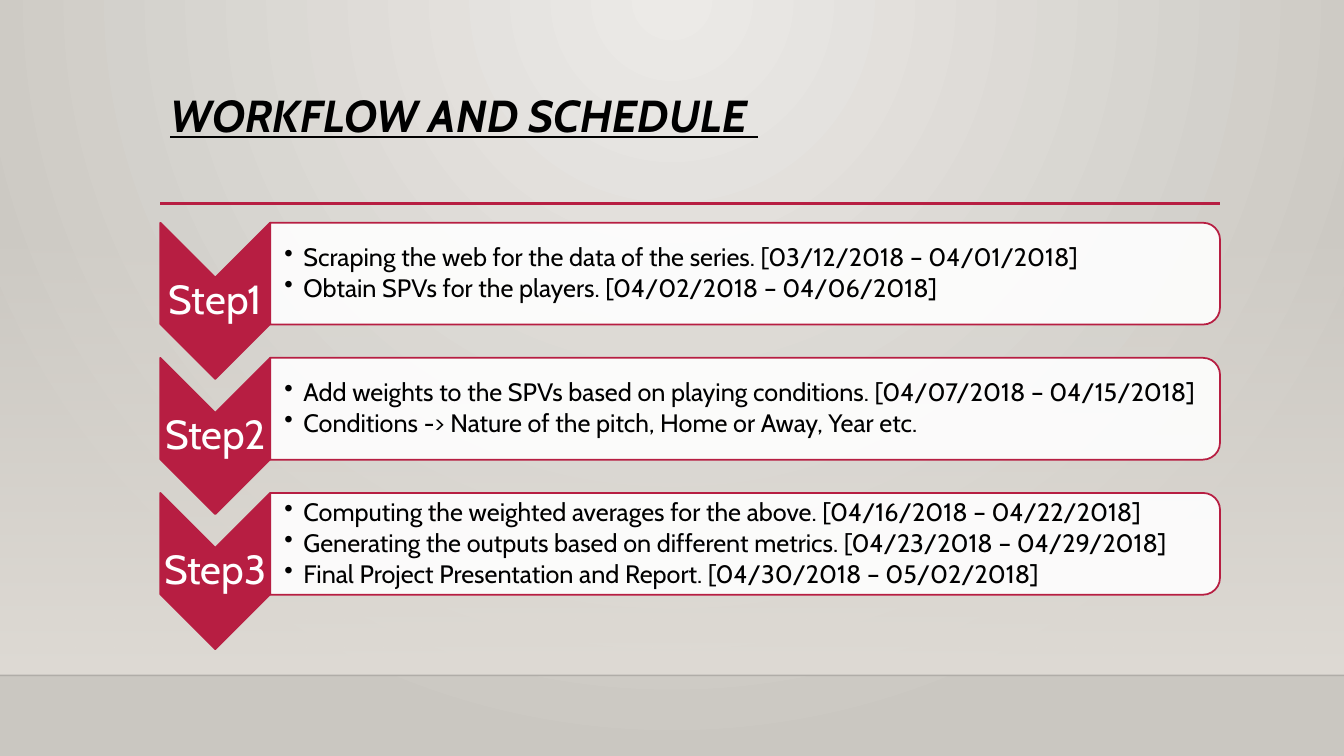
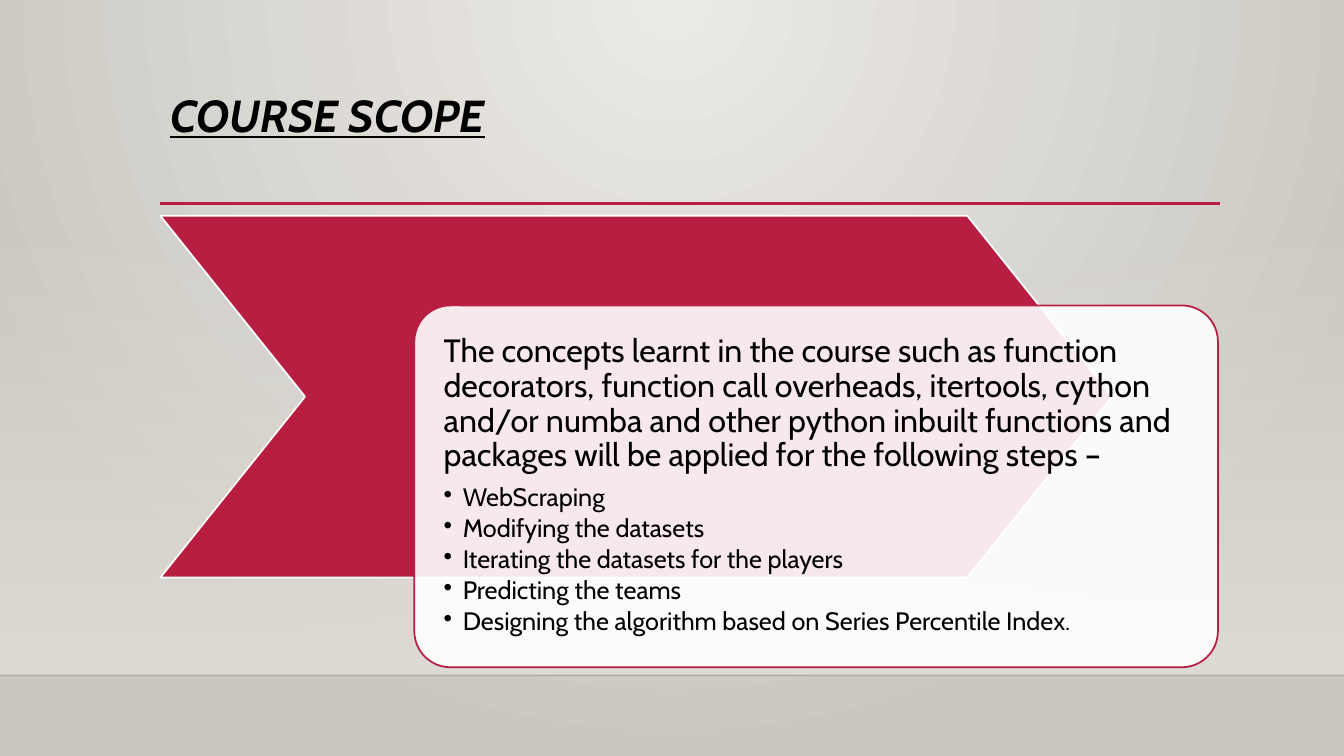
"""Build the workflow and course scope slides."""
from lxml import etree
from pptx import Presentation
from pptx import util as u
from pptx.dml.color import RGBColor
from pptx.enum import shapes, text
from pptx.oxml.ns import qn

WORKFLOW_TITLE = "WORKFLOW AND SCHEDULE "
STEPS = [
    ("Step1", ["Scraping the web for the data of the series. [03/12/2018 – 04/01/2018]",
               "Obtain SPVs for the players. [04/02/2018 – 04/06/2018]"]),
    ("Step2", ["Add weights to the SPVs based on playing conditions. [04/07/2018 – 04/15/2018]",
               "Conditions -> Nature of the pitch, Home or Away, Year etc. "]),
    ("Step3", ["Computing the weighted averages for the above. [04/16/2018 – 04/22/2018]",
               "Generating the outputs based on different metrics. [04/23/2018 – 04/29/2018]",
               "Final Project Presentation and Report. [04/30/2018 – 05/02/2018]"]),
]
SCOPE_TITLE = "COURSE SCOPE"
SCOPE_INTRO = ("The concepts learnt in the course such as function decorators, function call "
               "overheads, itertools, cython and/or numba and other python inbuilt functions and "
               "packages will be applied for the following steps –")
SCOPE_ITEMS = ["WebScraping", "Modifying the datasets ", "Iterating the datasets for the players",
               "Predicting the teams ", "Designing the algorithm based on Series Percentile Index. "]

FONT = "Cabin"
CRIMSON = RGBColor(0xB7, 0x1E, 0x42)
WHITE = RGBColor(0xFF, 0xFF, 0xFF)
BLACK = RGBColor(0, 0, 0)
PALE = RGBColor(0xEC, 0xEA, 0xE7)
STONE = RGBColor(0xCA, 0xC7, 0xC1)
SAND = RGBColor(0xDF, 0xDB, 0xD5)

WIDTH, HEIGHT = 13.33, 7.5
LEFT, RIGHT = 1.59, 12.1
FLOOR = 6.7
STEP_TOP, STEP_PITCH = 2.21, 1.34
ARROW_WIDTH, ARROW_HEIGHT, BAR_HEIGHT = 1.09, 1.55, 1.01
INDENT = 0.19


def set_alpha(shape, percent):
    color = next(shape._element.spPr.iter(qn("a:srgbClr")))
    etree.SubElement(color, qn("a:alpha"), val=str(percent * 1000))


def set_gradient(fill, *colors):
    fill.gradient()
    for stop, color in zip(fill.gradient_stops, colors):
        stop.color.rgb = color


def add_block(page, kind, left, top, width, height, fill, line, turned=False):
    if turned:
        left, top = left + (width - height) / 2, top + (height - width) / 2
        width, height = height, width
    block = page.shapes.add_shape(kind, *map(u.Inches, (left, top, width, height)))
    block.shadow.inherit = False
    block.rotation = 90 if turned else 0
    block.fill.solid()
    block.fill.fore_color.rgb = fill
    block.line.color.rgb = line
    block.line.width = u.Pt(1.25)
    return block


def add_rule(page, left, right, top, color, points):
    rule = page.shapes.add_connector(shapes.MSO_CONNECTOR.STRAIGHT,
                                     *map(u.Inches, (left, top, right, top)))
    rule.line.color.rgb = color
    rule.line.width = u.Pt(points)
    etree.SubElement(rule._element.spPr, qn("a:effectLst"))
    return rule


def add_text(page, left, top, width, height, insets, anchor=text.MSO_ANCHOR.TOP):
    box = page.shapes.add_textbox(*map(u.Inches, (left, top, width, height)))
    frame = box.text_frame
    frame.word_wrap = True
    frame.vertical_anchor = anchor
    (frame.margin_left, frame.margin_top,
     frame.margin_right, frame.margin_bottom) = map(u.Inches, insets)
    return frame


def write(para, words, size, color=BLACK, after=0.0):
    para.text = words
    para.line_spacing = 0.9
    para.space_after = u.Pt(size * after)
    font = para.runs[0].font
    font.name, font.size, font.color.rgb = FONT, u.Pt(size), color
    return font


def write_bullets(frame, items):
    for item in items:
        para = frame.add_paragraph() if frame.text else frame.paragraphs[0]
        write(para, item, 18, after=0.15)
        props = para._p.get_or_add_pPr()
        props.set("marL", str(u.Inches(INDENT)))
        props.set("indent", str(-u.Inches(INDENT)))
        etree.SubElement(props, qn("a:buChar"), char="•")


def add_page(deck, title):
    page = deck.slides.add_slide(deck.slide_layouts[6])
    set_gradient(page.background.fill, PALE, STONE)
    linear = next(page._element.iter(qn("a:lin")))
    glow = etree.Element(qn("a:path"), path="circle")
    etree.SubElement(glow, qn("a:fillToRect"), l="43000", t="0", r="43000", b="100000")
    linear.getparent().replace(linear, glow)

    wall = add_block(page, shapes.MSO_SHAPE.RECTANGLE, 0, STEP_TOP, WIDTH, FLOOR - STEP_TOP,
                     SAND, SAND)
    wall.line.fill.background()
    set_gradient(wall.fill, SAND, SAND)
    wall.fill.gradient_angle = 270
    set_alpha(wall, 0)
    set_alpha(add_rule(page, 0, WIDTH, FLOOR, BLACK, 1), 20)
    add_rule(page, LEFT, RIGHT, 2.02, CRIMSON, 2.5)

    frame = add_text(page, LEFT, 0.88, RIGHT - LEFT, 1.15, (0.1, 0.05, 0.1, 0.05))
    font = write(frame.paragraphs[0], title, 32)
    font.bold = font.italic = font.underline = True
    return page


def add_step(page, top, label, items):
    middle = text.MSO_ANCHOR.MIDDLE
    bar_left = LEFT + ARROW_WIDTH
    add_block(page, shapes.MSO_SHAPE.CHEVRON, LEFT, top, ARROW_WIDTH, ARROW_HEIGHT,
              CRIMSON, CRIMSON, turned=True)
    frame = add_text(page, LEFT, top + ARROW_WIDTH / 2, ARROW_WIDTH, 0.47, [0.02] * 4, middle)
    write(frame.paragraphs[0], label, 29, WHITE, after=0.35)
    frame.paragraphs[0].alignment = text.PP_ALIGN.CENTER
    bar = add_block(page, shapes.MSO_SHAPE.ROUND_2_SAME_RECTANGLE, bar_left, top,
                    RIGHT - bar_left, BAR_HEIGHT, WHITE, CRIMSON, turned=True)
    set_alpha(bar, 90)
    frame = add_text(page, bar_left, top + 0.05, RIGHT - bar_left - 0.05, BAR_HEIGHT - 0.1,
                     (0.14, 0.01, 0.01, 0.01), middle)
    write_bullets(frame, items)


def add_scope(page):
    arrow = add_block(page, shapes.MSO_SHAPE.CHEVRON, LEFT, 2.14, 9.44, 3.59, CRIMSON, WHITE)
    arrow.adjustments[0] = 0.4
    card = add_block(page, shapes.MSO_SHAPE.ROUNDED_RECTANGLE, 4.11, 3.03, 7.97, 3.59,
                     WHITE, CRIMSON)
    card.adjustments[0] = 0.1
    set_alpha(card, 90)
    frame = add_text(page, 4.22, 3.14, 7.76, 3.38, [0.18] * 4)
    write(frame.paragraphs[0], SCOPE_INTRO, 23, after=0.35)
    write_bullets(frame, SCOPE_ITEMS)


deck = Presentation()
deck.slide_width, deck.slide_height = u.Inches(WIDTH), u.Inches(HEIGHT)
workflow = add_page(deck, WORKFLOW_TITLE)
for row, (label, items) in enumerate(STEPS):
    add_step(workflow, STEP_TOP + row * STEP_PITCH, label, items)
add_scope(add_page(deck, SCOPE_TITLE))
deck.save("out.pptx")
